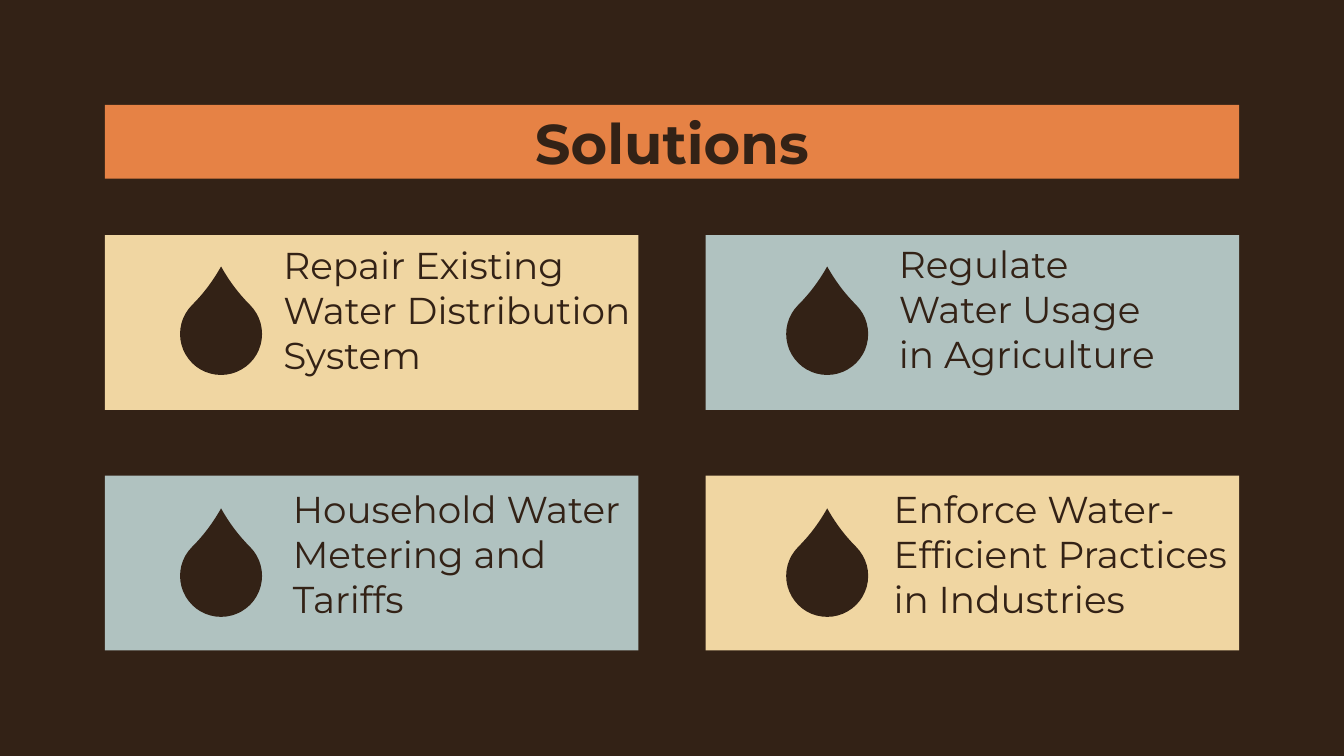
from pptx import Presentation
from pptx.dml.color import RGBColor
from pptx.enum.shapes import MSO_SHAPE
from pptx.enum.text import MSO_ANCHOR, PP_ALIGN
from pptx.util import Inches, Pt

BROWN, ORANGE, SAND, MIST = "332216", "E68245", "F0D6A2", "B0C2C0"

# Grid of two columns and two rows
LEFT, TOP = 0.78, 1.75
CARD_W, CARD_H = 3.97, 1.3
COL, ROW = 4.47, 1.79
DROP_LEFT, DROP_TOP, DROP = 1.34, 2.18, 0.61
DROP_COL, DROP_ROW = 4.51, 1.8


def add_shape(s, kind, x, y, w, h, color):
    sp = s.shapes.add_shape(kind, Inches(x), Inches(y), Inches(w), Inches(h))
    sp.shadow.inherit = False
    sp.fill.solid()
    sp.fill.fore_color.rgb = RGBColor.from_string(color)
    sp.line.fill.background()
    return sp


def write(sp, lines, size, bold=False, align=PP_ALIGN.LEFT):
    tf = sp.text_frame
    tf.word_wrap = True
    tf.vertical_anchor = MSO_ANCHOR.MIDDLE
    tf.margin_left = tf.margin_right = tf.margin_top = tf.margin_bottom = Inches(0.1)
    for i, line in enumerate(lines):
        p = tf.add_paragraph() if i else tf.paragraphs[0]
        p.alignment = align
        r = p.add_run()
        r.text = line
        r.font.name = "Montserrat"
        r.font.size = Pt(size)
        r.font.bold = bold
        r.font.color.rgb = RGBColor.from_string(BROWN)


prs = Presentation()
prs.slide_width, prs.slide_height = Inches(10), Inches(5.625)
s = prs.slides.add_slide(prs.slide_layouts[6])
s.background.fill.solid()
s.background.fill.fore_color.rgb = RGBColor.from_string(BROWN)

# Title bar
title = add_shape(s, MSO_SHAPE.RECTANGLE, LEFT, 0.78, COL + CARD_W, 0.55, ORANGE)
write(title, ["Solutions"], 30, bold=True, align=PP_ALIGN.CENTER)

# Cards: column, row, text box (left, top, width, height), lines
cards = [
    (0, 0, (2.01, 2.13, 5.98, 0.35), ["Repair Existing", "Water Distribution", "System"]),
    (1, 0, (6.59, 2.11, 2.26, 0.37), ["Regulate Water Usage in Agriculture"]),
    (0, 1, (2.08, 3.95, 2.71, 0.34), ["Household Water Metering and Tariffs"]),
    (1, 1, (6.55, 3.95, 2.78, 0.34), ["Enforce Water-Efficient Practices in Industries"]),
]
for col, row, box, lines in cards:
    # Panel, colours alternating like a chessboard
    add_shape(s, MSO_SHAPE.RECTANGLE, LEFT + col * COL, TOP + row * ROW,
              CARD_W, CARD_H, SAND if col == row else MIST)

    # Water drop
    drop = add_shape(s, MSO_SHAPE.TEAR, DROP_LEFT + col * DROP_COL,
                     DROP_TOP + row * DROP_ROW, DROP, DROP, BROWN)
    drop.adjustments[0] = 1.165
    drop.rotation = 315

    # Solution text
    write(s.shapes.add_textbox(*[Inches(v) for v in box]), lines, 20)

prs.save("out.pptx")
